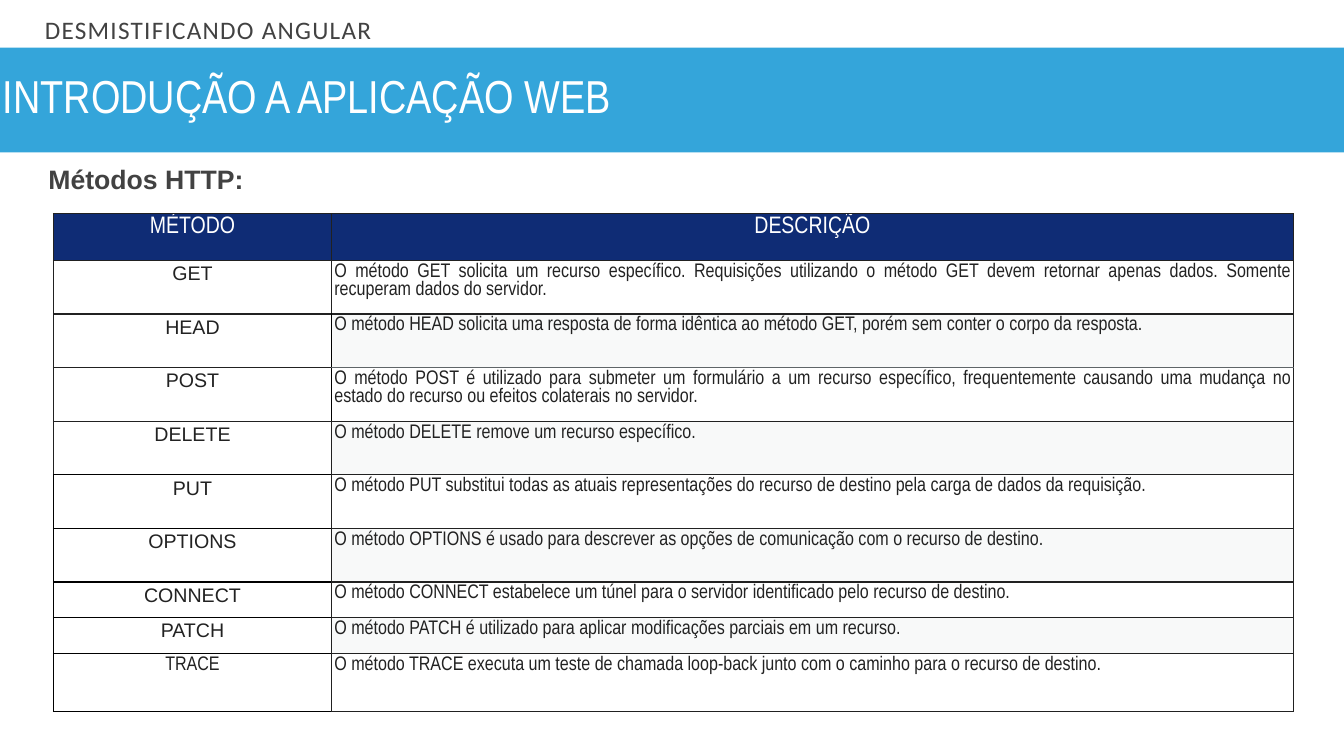
"""Builds the slide that lists the HTTP methods in a table."""
from lxml import etree
from pptx import Presentation
from pptx.dml.color import RGBColor
from pptx.enum.text import MSO_ANCHOR, MSO_AUTO_SIZE, PP_ALIGN
from pptx.oxml.ns import qn
from pptx.util import Cm, Pt

LEFT, CENTER, JUSTIFY = PP_ALIGN.LEFT, PP_ALIGN.CENTER, PP_ALIGN.JUSTIFY
MIDDLE, BOTTOM = MSO_ANCHOR.MIDDLE, MSO_ANCHOR.BOTTOM
NO_AUTOFIT = MSO_AUTO_SIZE.NONE
ARIAL, NARROW = "Arial", "Arial Narrow"
INK, GRAY, PALE = "222222", "424242", "DCDEE0"

ROWS = [
    ("MÉTODO", "DESCRIÇÃO", 2.36),
    ("GET", "O método GET solicita um recurso específico. Requisições utilizando o "
     "método GET devem retornar apenas dados. Somente recuperam dados do servidor.", 2.7),
    ("HEAD", "O método HEAD solicita uma resposta de forma idêntica ao método GET, "
     "porém sem conter o corpo da resposta.", 2.7),
    ("POST", "O método POST é utilizado para submeter um formulário a um recurso específico, "
     "frequentemente causando uma mudança no estado do recurso ou efeitos colaterais no servidor.", 2.7),
    ("DELETE", "O método DELETE remove um recurso específico.", 2.7),
    ("PUT", "O método PUT substitui todas as atuais representações do recurso de destino "
     "pela carga de dados da requisição.", 2.7),
    ("OPTIONS", "O método OPTIONS é usado para descrever as opções de comunicação "
     "com o recurso de destino.", 2.7),
    ("CONNECT", "O método CONNECT estabelece um túnel para o servidor identificado "
     "pelo recurso de destino.", 1.8),
    ("PATCH", "O método PATCH é utilizado para aplicar modificações parciais em um recurso.", 1.8),
    ("TRACE", "O método TRACE executa um teste de chamada loop-back junto com o caminho "
     "para o recurso de destino.", 2.92),
]


def rgb(value):
    return RGBColor.from_string(value)


def write(tf, text, font, size, color, align=LEFT, spacing=1.0, bold=False):
    tf.word_wrap = True
    p = tf.paragraphs[0]
    p.text = text
    p.alignment, p.line_spacing = align, spacing
    p.font.name, p.font.size, p.font.bold = font, Pt(size), bold
    p.font.color.rgb = rgb(color)
    return p


prs = Presentation()
prs.slide_width, prs.slide_height = Cm(67.73), Cm(38.1)
s = prs.slides.add_slide(prs.slide_layouts[5])

title = s.shapes.title
title.left, title.top, title.width, title.height = Cm(0), Cm(2.4), Cm(67.73), Cm(5.28)
title.fill.solid()
title.fill.fore_color.rgb = rgb("34A5DA")
write(title.text_frame, "INTRODUÇÃO A APLICAÇÃO WEB", NARROW, 66, "FFFFFF", spacing=0.8)

header = s.shapes.add_textbox(Cm(2.11), Cm(0.64), Cm(58.22), Cm(1.75))
p = write(header.text_frame, "DESMISTIFICANDO ANGULAR", "Calibri", 36, GRAY, spacing=0.8)
p.runs[0].font._element.set("spc", "180")

subtitle = s.shapes.add_textbox(Cm(2.29), Cm(8.08), Cm(39.6), Cm(1.9))
write(subtitle.text_frame, "Métodos HTTP:", ARIAL, 38, GRAY, bold=True)

for sp, anchor in ((title, MIDDLE), (header, BOTTOM), (subtitle, MIDDLE)):
    tf = sp.text_frame
    tf.auto_size, tf.vertical_anchor = NO_AUTOFIT, anchor
    tf.margin_left = tf.margin_right = tf.margin_top = tf.margin_bottom = Cm(0.15)

total = sum(height for _, _, height in ROWS)
frame = s.shapes.add_table(len(ROWS), 2, Cm(2.7), Cm(10.77), Cm(62.48), Cm(total))
table = frame.table
table.first_row = table.horz_banding = False
table.columns[0].width, table.columns[1].width = Cm(14), Cm(48.48)

for i, (method, description, height) in enumerate(ROWS):
    table.rows[i].height = Cm(height)
    for j, text in enumerate((method, description)):
        cell = table.cell(i, j)
        cell.margin_left = cell.margin_right = Cm(0.15)
        cell.margin_top = cell.margin_bottom = Cm(0.13)
        wide = j == 0 and 0 < i < len(ROWS) - 1
        write(cell.text_frame, text, ARIAL if wide else NARROW, 28 if i else 34,
              INK if i else "FFFFFF", JUSTIFY if i and j else CENTER)

        edge = INK if i == 0 else "000000" if j == 0 and i > 4 else "212121"
        edges = dict.fromkeys(("lnL", "lnR", "lnT", "lnB"), edge)
        edges["lnL" if j else "lnR"] = "000000" if i in (2, 3) else "212121"
        if j and i in (2, 3):
            edges["lnB" if i == 2 else "lnT"] = "5F6568"
        tcPr = cell._tc.get_or_add_tcPr()
        for tag, color in edges.items():
            ln = etree.SubElement(tcPr, qn(f"a:{tag}"), w=str(Pt(1.98)))
            fill = etree.SubElement(ln, qn("a:solidFill"))
            etree.SubElement(fill, qn("a:srgbClr"), val=color)

        shaded = j == 1 and i > 0 and i % 2 == 0
        if i == 0 or shaded:
            cell.fill.solid()
            cell.fill.fore_color.rgb = rgb(PALE if shaded else "0F2C75")
        else:
            cell.fill.background()
        if shaded:
            color = tcPr.find(qn("a:solidFill")).find(qn("a:srgbClr"))
            etree.SubElement(color, qn("a:alpha"), val="18000")

prs.save("out.pptx")
